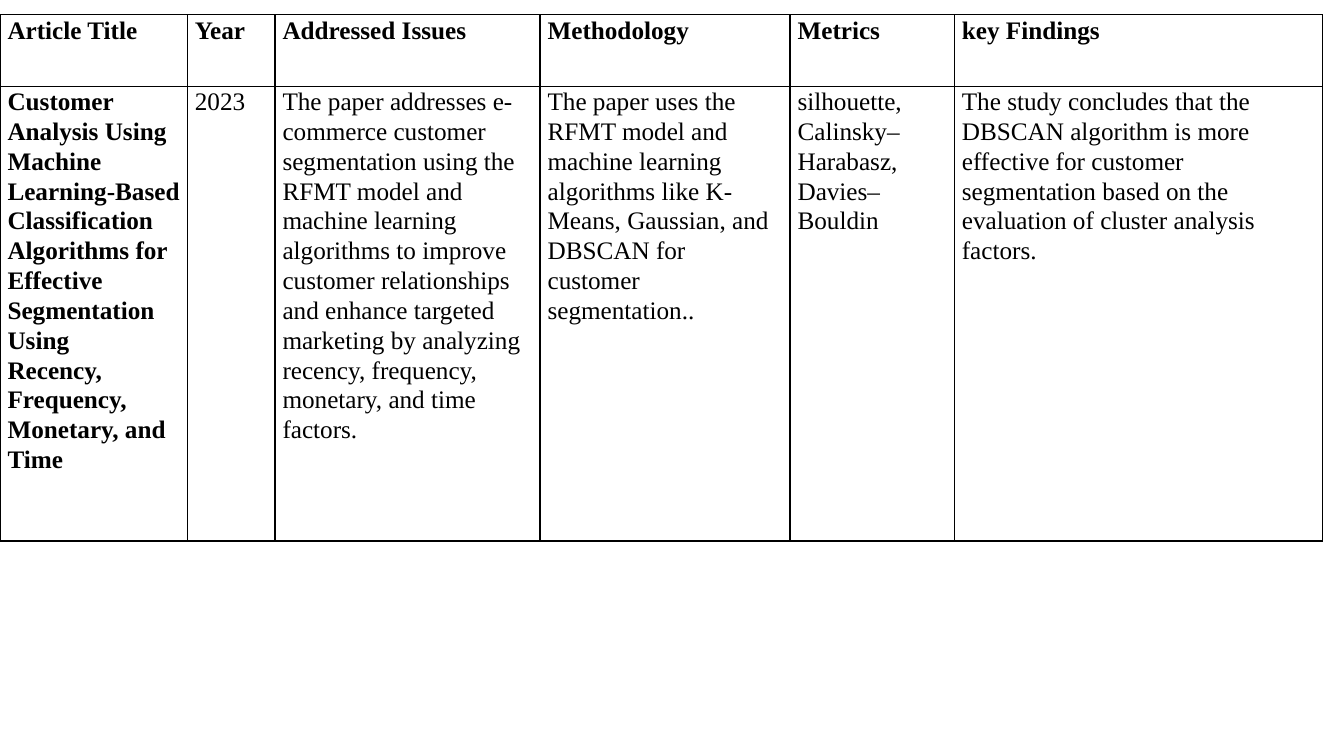
from pptx import Presentation
from pptx.dml.color import RGBColor
from pptx.oxml import parse_xml
from pptx.oxml.ns import nsdecls
from pptx.util import Cm, Pt


def rgb(value):
    return RGBColor.from_string(value)


def add_borders(cell, color, width):
    """Draw a solid line on all four sides; borders precede the fill in tcPr."""
    tcPr = cell._tc.get_or_add_tcPr()
    for i, side in enumerate(("lnL", "lnR", "lnT", "lnB")):
        tcPr.insert(i, parse_xml(
            f'<a:{side} {nsdecls("a")} w="{Pt(width)}"><a:solidFill>'
            f'<a:srgbClr val="{color}"/></a:solidFill></a:{side}>'))


COL_WIDTHS = [4.72, 2.21, 6.68, 6.3, 4.14, 9.28]
ROW_HEIGHTS = [1.8, 11.46]
ROWS = [
    ["Article Title", "Year", "Addressed Issues", "Methodology", "Metrics",
     "key Findings"],
    ["Customer Analysis Using Machine Learning-Based Classification "
     "Algorithms for Effective Segmentation Using\n"
     "Recency, Frequency, Monetary, and Time",
     "2023",
     "The paper addresses e-commerce customer segmentation using the RFMT "
     "model and machine learning algorithms to improve customer relationships "
     "and enhance targeted marketing by analyzing recency, frequency, "
     "monetary, and time factors.",
     "The paper uses the RFMT model and machine learning algorithms like "
     "K-Means, Gaussian, and DBSCAN for customer segmentation..",
     "silhouette, Calinsky–Harabasz, Davies–Bouldin",
     "The study concludes that the DBSCAN algorithm is more effective for "
     "customer segmentation based on the evaluation of cluster analysis "
     "factors."],
]

prs = Presentation()
prs.slide_width, prs.slide_height = Cm(33.87), Cm(19.05)
s = prs.slides.add_slide(prs.slide_layouts[6])

table = s.shapes.add_table(
    len(ROWS), len(COL_WIDTHS), Cm(0), Cm(0.37),
    Cm(sum(COL_WIDTHS)), Cm(sum(ROW_HEIGHTS))).table
table.first_row = table.horz_banding = False
for col, width in zip(table.columns, COL_WIDTHS):
    col.width = Cm(width)
for row, height in zip(table.rows, ROW_HEIGHTS):
    row.height = Cm(height)

for r, texts in enumerate(ROWS):
    for c, content in enumerate(texts):
        cell = table.cell(r, c)
        cell.margin_left = cell.margin_right = Cm(0.19)
        cell.margin_top = cell.margin_bottom = 0
        cell.fill.solid()
        cell.fill.fore_color.rgb = rgb("FFFFFF")
        add_borders(cell, "000000", 1)
        p = cell.text_frame.paragraphs[0]
        p.text = content
        p.line_spacing = 1.07
        p.font.name = "Times New Roman"
        p.font.size = Pt(18)
        p.font.bold = r == 0 or c == 0
        p.font.color.rgb = rgb("000000")

prs.save("out.pptx")
